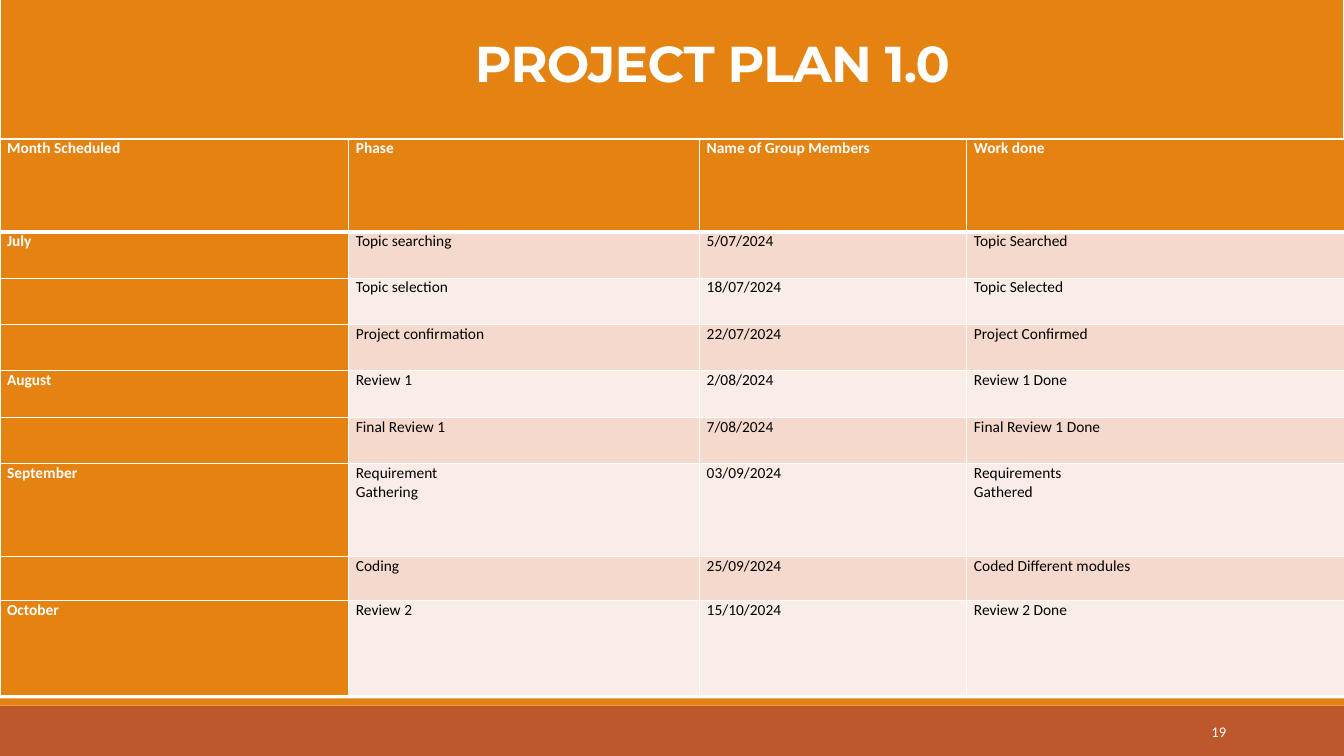
"""Builds the project plan slide with its schedule table."""
from dataclasses import dataclass

import lxml.etree
import pptx
import pptx.dml.color
import pptx.enum.shapes
import pptx.enum.text
import pptx.oxml.ns
import pptx.util

Inches = pptx.util.Inches
Align = pptx.enum.text.PP_ALIGN
Anchor = pptx.enum.text.MSO_ANCHOR


@dataclass(frozen=True)
class Theme:
    orange: str = "E48312"
    rust: str = "BD582C"
    band_dark: str = "F5D9CC"
    band_light: str = "FAEDE7"
    white: str = "FFFFFF"
    black: str = "000000"
    title_font: str = "Montserrat"
    body_font: str = "Calibri"
    title_size: float = 36
    table_size: float = 11
    number_size: float = 10.5
    title_line: float = 2
    grid_line: float = 1
    header_line: float = 3


@dataclass(frozen=True)
class Box:
    left: float
    top: float
    width: float
    height: float

    def lengths(self) -> tuple:
        return tuple(Inches(n) for n in (self.left, self.top, self.width, self.height))


@dataclass(frozen=True)
class Bar:
    box: Box
    color: str
    line_width: float = 0


@dataclass(frozen=True)
class TextStyle:
    font: str
    size: float
    color: str
    bold: bool = False


@dataclass(frozen=True)
class PlanRow:
    height: float
    texts: tuple[str, str, str, str]


THEME = Theme()
TITLE_STYLE = TextStyle(THEME.title_font, THEME.title_size, THEME.white, True)
NUMBER_STYLE = TextStyle(THEME.body_font, THEME.number_size, THEME.white)
HEADING_STYLE = TextStyle(THEME.body_font, THEME.table_size, THEME.white, True)
ENTRY_STYLE = TextStyle(THEME.body_font, THEME.table_size, THEME.black)

FOOTER_BARS = (
    Bar(Box(0, 7, 13.33, 0.5), THEME.rust),
    Bar(Box(0, 6.93, 13.33, 0.07), THEME.orange),
)
TITLE_BAR = Bar(Box(0, -0.05, 13.33, 1.43), THEME.orange, THEME.title_line)
NUMBER_BOX = Box(10.83, 7.06, 1.43, 0.4)
TABLE_BOX = Box(0, 1.38, 13.33, 5.51)
COLUMN_WIDTHS = (3.46, 3.48, 2.65, 3.76)
PLAN = (
    PlanRow(0.92, ("Month Scheduled", "Phase", "Name of Group Members", "Work done")),
    PlanRow(0.46, ("July", "Topic searching", "5/07/2024", "Topic Searched")),
    PlanRow(0.46, ("", "Topic selection", "18/07/2024", "Topic Selected")),
    PlanRow(0.46, ("", "Project confirmation", "22/07/2024", "Project Confirmed")),
    PlanRow(0.46, ("August", "Review 1", "2/08/2024", "Review 1 Done")),
    PlanRow(0.46, ("", "Final Review 1", "7/08/2024", "Final Review 1 Done")),
    PlanRow(0.92, ("September", "Requirement\nGathering", "03/09/2024", "Requirements\nGathered")),
    PlanRow(0.44, ("", "Coding", "25/09/2024", "Coded Different modules")),
    PlanRow(0.94, ("October", "Review 2", "15/10/2024", "Review 2 Done")),
)


def rgb(color: str) -> pptx.dml.color.RGBColor:
    return pptx.dml.color.RGBColor.from_string(color)


def style_font(font, style: TextStyle) -> None:
    font.name = style.font
    font.size = pptx.util.Pt(style.size)
    font.bold = style.bold
    font.color.rgb = rgb(style.color)


def write(frame, text: str, style: TextStyle, alignment=Align.LEFT) -> None:
    frame.word_wrap = True
    for index, line in enumerate(text.split("\n")):
        paragraph = frame.add_paragraph() if index else frame.paragraphs[0]
        paragraph.alignment = alignment
        if line:
            run = paragraph.add_run()
            run.text = line
            style_font(run.font, style)
        else:
            style_font(paragraph.font, style)


def add_bar(slide, bar: Bar):
    shape = slide.shapes.add_shape(
        pptx.enum.shapes.MSO_SHAPE.RECTANGLE, *bar.box.lengths())
    shape.shadow.inherit = False
    shape.fill.solid()
    shape.fill.fore_color.rgb = rgb(bar.color)
    if bar.line_width:
        shape.line.color.rgb = rgb(THEME.white)
        shape.line.width = pptx.util.Pt(bar.line_width)
    else:
        shape.line.fill.background()
    return shape


def add_title(slide) -> None:
    frame = add_bar(slide, TITLE_BAR).text_frame
    frame.vertical_anchor = Anchor.MIDDLE
    frame.margin_left = Inches(0.9)
    write(frame, "PROJECT PLAN 1.0", TITLE_STYLE, Align.CENTER)
    paragraph = frame.paragraphs[0]
    paragraph.line_spacing = 0.85
    paragraph.runs[0].font._element.set("spc", "-50")


def add_slide_number(slide) -> None:
    frame = slide.shapes.add_textbox(*NUMBER_BOX.lengths()).text_frame
    frame.vertical_anchor = Anchor.MIDDLE
    write(frame, "19", NUMBER_STYLE, Align.RIGHT)


def set_border(cell, side: str, width: float) -> None:
    qn = pptx.oxml.ns.qn
    properties = cell._tc.get_or_add_tcPr()
    line = lxml.etree.SubElement(
        properties, qn(f"a:ln{side}"), w=str(pptx.util.Pt(width)))
    fill = lxml.etree.SubElement(line, qn("a:solidFill"))
    lxml.etree.SubElement(fill, qn("a:srgbClr"), val=THEME.white)


def fill_cell(cell, text: str, row: int, column: int) -> None:
    is_heading = row == 0 or column == 0
    band = THEME.band_dark if row % 2 else THEME.band_light
    cell.margin_left = cell.margin_right = Inches(0.07)
    cell.margin_top = cell.margin_bottom = 0
    for side in "LRTB":
        thick = (row, side) in ((0, "B"), (1, "T"))
        set_border(cell, side, THEME.header_line if thick else THEME.grid_line)
    cell.fill.solid()
    cell.fill.fore_color.rgb = rgb(THEME.orange if is_heading else band)
    write(cell.text_frame, text, HEADING_STYLE if is_heading else ENTRY_STYLE)


def add_plan_table(slide) -> None:
    table = slide.shapes.add_table(
        len(PLAN), len(COLUMN_WIDTHS), *TABLE_BOX.lengths()).table
    table.first_row = table.horz_banding = False
    for column, width in zip(table.columns, COLUMN_WIDTHS):
        column.width = Inches(width)
    for row, plan_row in enumerate(PLAN):
        table.rows[row].height = Inches(plan_row.height)
        for column, text in enumerate(plan_row.texts):
            fill_cell(table.cell(row, column), text, row, column)


def main() -> None:
    presentation = pptx.Presentation()
    presentation.slide_width = Inches(13.33)
    presentation.slide_height = Inches(7.5)
    slide = presentation.slides.add_slide(presentation.slide_layouts[6])
    for bar in FOOTER_BARS:
        add_bar(slide, bar)
    add_title(slide)
    add_slide_number(slide)
    add_plan_table(slide)
    presentation.save("out.pptx")


if __name__ == "__main__":
    main()
